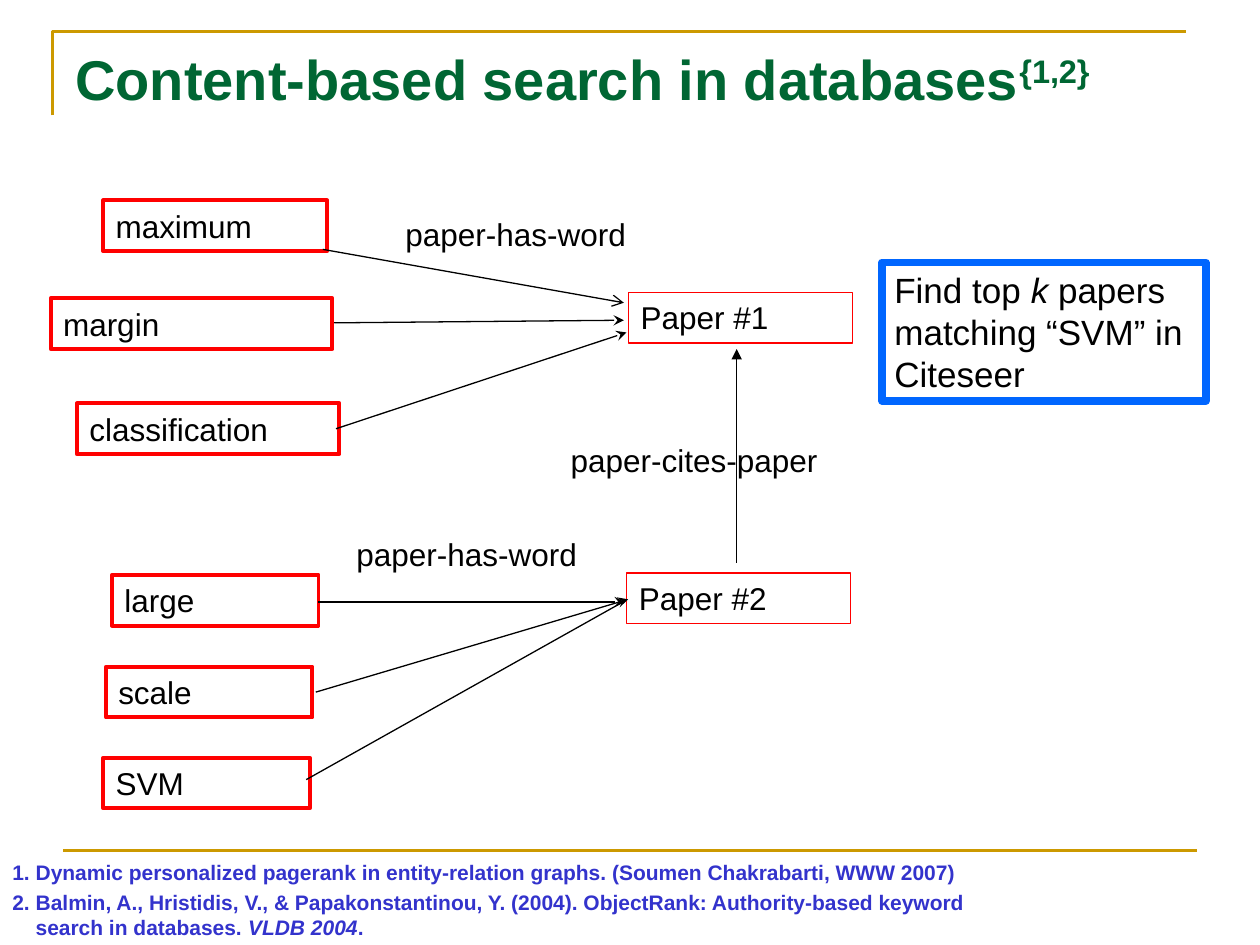
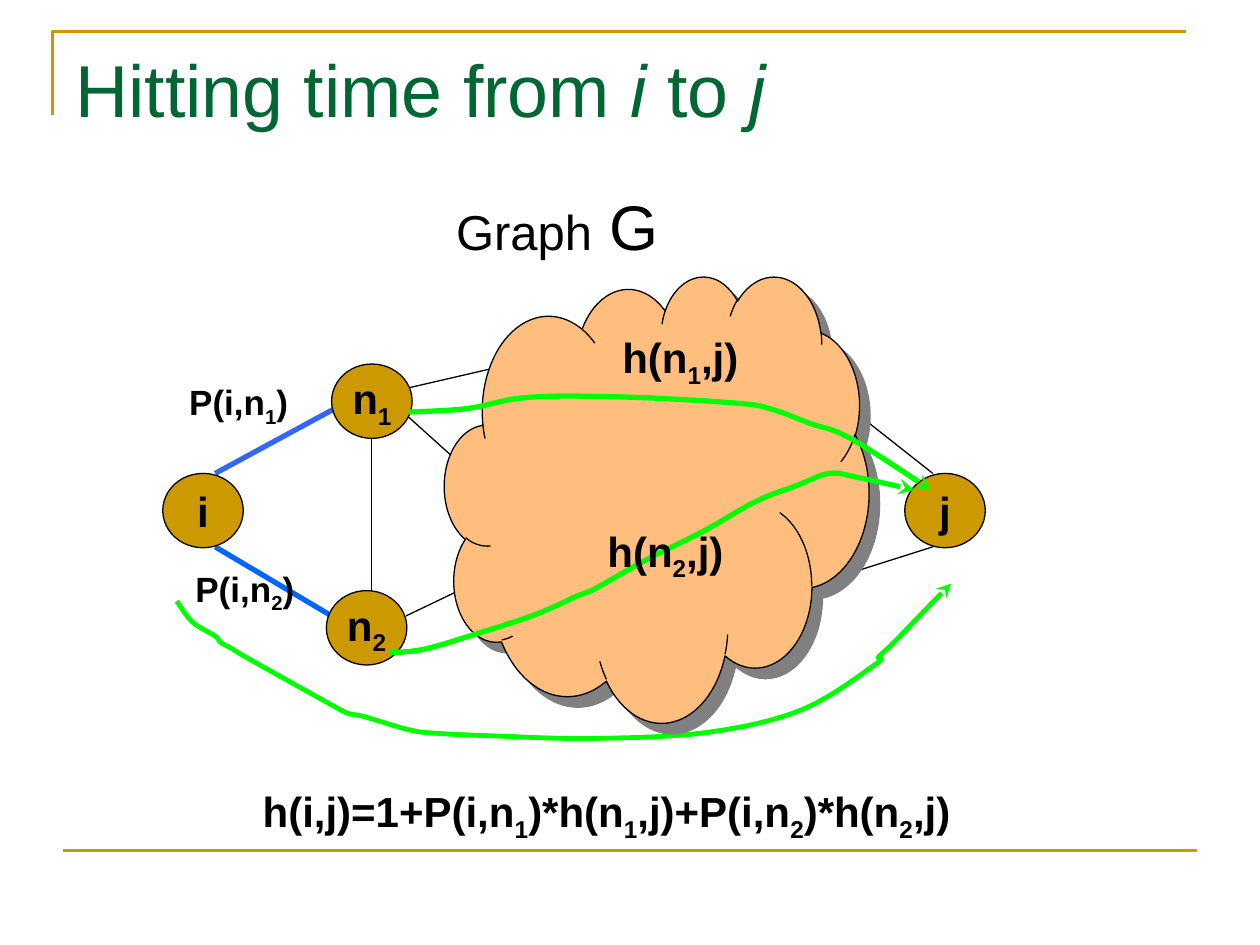
from lxml import etree
from pptx import Presentation
from pptx import util as u
from pptx.dml.color import RGBColor
from pptx.enum import shapes, text
from pptx.oxml import ns

Pt = u.Pt
FONT = "Arial"
BLACK = RGBColor(0x00, 0x00, 0x00)
GOLD = RGBColor(0xCC, 0x99, 0x00)
GREEN = RGBColor(0x00, 0x66, 0x33)
RED = RGBColor(0xFF, 0x00, 0x00)
INDIGO = RGBColor(0x33, 0x33, 0xCC)
BLUE = RGBColor(0x00, 0x66, 0xFF)
SOFT_BLUE = RGBColor(0x33, 0x66, 0xFF)
LIME = RGBColor(0x00, 0xFF, 0x00)
PEACH = RGBColor(0xFF, 0xBE, 0x7D)

TITLE_BOX = (36, 21.6, 648, 90)
ROW_HEIGHT = 29
PAPER_WIDTH = 128
RECT = shapes.MSO_SHAPE.RECTANGLE
OVAL = shapes.MSO_SHAPE.OVAL


# Shared helpers
def add_child(parent, tag, **attributes):
    child = etree.SubElement(parent, ns.qn(tag))
    for name, value in attributes.items():
        child.set(name, str(value))
    return child


def place(box, left, top, width, height):
    return box[0] + left, box[1] + top, width, height


def subscripted(formula):
    """Turn 'n_1' marks into subscript spans."""
    first, *rest = formula.split("_")
    spans = [(first, {})]
    for part in rest:
        spans += [(part[0], {"baseline": -25000}), (part[1:], {})]
    return [span for span in spans if span[0]]


def write(para, spans, **formats):
    """Fill a paragraph with (text, formats) spans over shared formats."""
    for words, own in spans:
        values = {"name": FONT, "color": BLACK, **formats, **own}
        span = para.add_run()
        span.text = words
        span.font.color.rgb = values.pop("color")
        baseline = values.pop("baseline", None)
        for name, value in values.items():
            setattr(span.font, name, value)
        if baseline:
            span._r.get_or_add_rPr().set("baseline", str(baseline))


def set_frame(frame, **settings):
    margins = {"margin_left": Pt(7.2), "margin_right": Pt(7.2),
               "margin_top": Pt(3.6), "margin_bottom": Pt(3.6)}
    defaults = {"word_wrap": True, "vertical_anchor": text.MSO_ANCHOR.TOP}
    for name, value in {**margins, **defaults, **settings}.items():
        setattr(frame, name, value)


def add_text(page, box, spans, **formats):
    frame = page.shapes.add_textbox(*map(Pt, box)).text_frame
    set_frame(frame)
    write(frame.paragraphs[0], spans, **formats)
    return frame


def style_line(part, color, width, head=None):
    part.line.color.rgb = color
    part.line.width = Pt(width)
    if head:
        outline = part._element.spPr.find(ns.qn("a:ln"))
        add_child(outline, "a:tailEnd", type=head)


def add_shape(page, kind, box, color, width, fill=None):
    part = page.shapes.add_shape(kind, *map(Pt, box))
    part.shadow.inherit = False
    if fill is None:
        part.fill.background()
    else:
        part.fill.solid()
        part.fill.fore_color.rgb = fill
    style_line(part, color, width)
    return part


def add_framed_text(page, box, spans, color, width, **formats):
    frame = add_shape(page, RECT, box, color, width).text_frame
    set_frame(frame)
    frame.paragraphs[0].alignment = text.PP_ALIGN.LEFT
    write(frame.paragraphs[0], spans, **formats)


def add_line(page, box, ends, color=BLACK, width=0.75, head=None):
    x1, y1, x2, y2 = ends
    left, top = box[:2]
    line = page.shapes.add_connector(
        shapes.MSO_CONNECTOR.STRAIGHT, Pt(left + x1), Pt(top + y1),
        Pt(left + x2), Pt(top + y2))
    style_line(line, color, width, head)
    add_child(line._element.spPr, "a:effectLst")


def add_path(page, points, color, width, head=None):
    start, *rest = [(Pt(x), Pt(y)) for x, y in points]
    builder = page.shapes.build_freeform(*start)
    builder.add_line_segments(rest, close=False)
    path = builder.convert_to_shape()
    path.shadow.inherit = False
    path.fill.background()
    style_line(path, color, width, head)


def smooth(knots, steps=6):
    """Points on a Catmull-Rom curve through the knots."""
    padded = [knots[0], *knots, knots[-1]]
    points = [knots[0]]
    for a, b, c, d in zip(padded, padded[1:], padded[2:], padded[3:]):
        for step in range(1, steps + 1):
            t = step / steps
            points.append(tuple(
                (2 * q + (r - p) * t + (2 * p - 5 * q + 4 * r - s) * t ** 2
                 + (3 * q - p - 3 * r + s) * t ** 3) / 2
                for p, q, r, s in zip(a, b, c, d)))
    return points


def start_page(deck, title, size):
    """Blank page with the corner rule, the foot rule and the title."""
    page = deck.slides.add_slide(deck.slide_layouts[6])
    add_path(page, [(30, 66), (30, 18), (678, 18)], GOLD, 1.5)
    add_line(page, (36, 486), (0, 0, 648, 0), GOLD, 1.5)
    add_text(page, TITLE_BOX, title, color=GREEN, **size)
    return page


# Slide 1 regions
def add_word_links(page, box, words, paper, label, arrows):
    """Word boxes, each linked to one paper box."""
    for word, left, top, width in words:
        add_framed_text(page, place(box, left, top, width, ROW_HEIGHT),
                        [(word, {})], RED, 2.25, size=Pt(18))
    name, left, top = paper
    add_framed_text(page, place(box, left, top, PAPER_WIDTH, ROW_HEIGHT),
                    [(name, {})], RED, 0.75, size=Pt(18))
    add_text(page, place(box, *label, 153.5, ROW_HEIGHT),
             [("paper-has-word", {})], size=Pt(18))
    for ends, head in arrows:
        add_line(page, box, ends, head=head)


def add_citation_link(page, box):
    add_line(page, box, (102, 122, 102, 0), head="triangle")
    add_text(page, place(box, 0, 49, box[2], ROW_HEIGHT),
             [("paper-cites-paper", {})], size=Pt(18))


def add_references(page, box):
    formats = {"size": Pt(12), "bold": True, "color": INDIGO}
    frame = add_text(page, box, [(
        "1. Dynamic personalized pagerank in entity-relation graphs. "
        "(Soumen Chakrabarti, WWW 2007)", {})], **formats)
    para = frame.add_paragraph()
    para.space_before = Pt(3)
    for name, value in {"marL": Pt(13.3), "indent": -Pt(13.3)}.items():
        para._p.get_or_add_pPr().set(name, str(value))
    write(para, [("2. Balmin, A., Hristidis, V., & Papakonstantinou, Y. (2004). "
                  "ObjectRank: Authority-based keyword", {})], **formats)
    para.add_line_break()
    write(para, [("search in databases. ", {}), ("VLDB 2004", {"italic": True}),
                 (".", {})], **formats)


def build_search_slide(deck):
    page = start_page(deck, [("Content-based search in databases", {}),
                             ("{1,2}", {"baseline": 30000})],
                      {"size": Pt(32), "bold": True})
    add_references(page, (0, 487.5, 695.5, 53))
    add_word_links(
        page, (29, 114.5, 458, 145),
        words=[("maximum", 30, 0, 128), ("margin", 0, 56, 161),
               ("classification", 15, 116, 150)],
        paper=("Paper #1", 330, 52.5), label=(195.5, 5),
        arrows=[((155.5, 28, 327.5, 58.5), "arrow"),
                ((162, 70, 327.5, 68.5), "stealth"),
                ((163, 130.5, 329, 75.5), "stealth")])
    add_word_links(
        page, (59, 302, 427, 160),
        words=[("large", 5, 26.5, 118), ("scale", 1.5, 79, 118),
               ("SVM", 0, 131, 118)],
        paper=("Paper #2", 299, 25.5), label=(137.5, 0),
        arrows=[((123, 42, 298, 42), "stealth"),
                ((121.5, 93.5, 300, 40.5), "stealth"),
                ((116, 143.5, 297, 42), None)])
    add_citation_link(page, (319, 199.5, 181.5, 122))
    add_framed_text(page, (504, 150, 185, 79),
                    [("Find top ", {}), ("k", {"italic": True}),
                     (" papers matching “SVM” in Citeseer", {})],
                    BLUE, 4.5, size=Pt(20))


# Slide 2 regions
def add_edges(page, box):
    for ends in [(122.5, 252, 122.5, 137), (381.5, 232, 443, 212.5),
                 (381.5, 122, 443, 170.5), (142, 122, 202.5, 108),
                 (142, 137, 202.5, 191.5), (142, 252, 180.5, 233.5)]:
        add_line(page, box, ends)
    add_line(page, box, (33, 170.5, 122.5, 122), SOFT_BLUE, 3)
    add_line(page, box, (33, 212.5, 99.5, 252), BLUE, 3)


def add_nodes(page, box):
    for name, left, top in [("i", 3, 170.5), ("j", 427, 170.5),
                            ("n_1", 99.5, 108), ("n_2", 96.5, 237.5)]:
        node = add_shape(page, OVAL, place(box, left, top, 46, 42.5),
                         BLACK, 0.75, GOLD)
        set_frame(node.text_frame, word_wrap=False,
                  vertical_anchor=text.MSO_ANCHOR.MIDDLE)
        para = node.text_frame.paragraphs[0]
        para.alignment = text.PP_ALIGN.CENTER
        write(para, subscripted(name), size=Pt(24), bold=True)


def add_cloud(page, box):
    cloud = add_shape(page, shapes.MSO_SHAPE.CLOUD,
                      place(box, 164, 57.5, 242.5, 255), BLACK, 0.75, PEACH)
    effects = cloud._element.spPr.find(ns.qn("a:effectLst"))
    shadow = add_child(effects, "a:outerShdw", dist=Pt(8.5), dir=45 * 60000,
                       algn="ctr", rotWithShape=0)
    add_child(shadow, "a:srgbClr", val="808080")


def add_walk(page, box, knots, width):
    moved = [(box[0] + x, box[1] + y) for x, y in knots]
    add_path(page, smooth(moved), LIME, width, "stealth")


def add_labels(page, box):
    for formula, size, *spot in [
            ("P(i,n_1)", 20, 11, 114, 82, 34.5),
            ("P(i,n_2)", 20, 14.5, 220.5, 82, 34.5),
            ("h(n_1,j)", 24, 258.5, 86, 104.5, 40),
            ("h(n_2,j)", 24, 250, 196.5, 104.5, 40),
            ("h(i,j)=1+P(i,n_1)*h(n_1,j)+P(i,n_2)*h(n_2,j)", 24,
             53, 345.5, 434, 40)]:
        add_text(page, place(box, *spot), subscripted(formula),
                 size=Pt(size), bold=True)
    add_text(page, place(box, 163.5, 3.5, 175.5, 50),
             [("Graph", {"size": Pt(28)}), (" G", {"size": Pt(36)})])


def build_hitting_time_slide(deck):
    italic = {"italic": True}
    page = start_page(deck, [("Hitting time from ", {}), ("i ", italic),
                             ("to ", {}), ("j", italic)], {"size": Pt(42)})
    graph = (90, 100, 480, 390)
    add_edges(page, graph)
    add_nodes(page, graph)
    # Walk from i to j below the graph
    add_walk(page, graph, [
        (11, 243.5), (20, 255.5), (33, 263.5), (36, 267), (43, 271),
        (54, 277.5), (98, 302), (108.5, 307.5), (118, 309.5), (143.5, 317),
        (158.5, 319), (191, 320.5), (249, 322), (314.5, 318.5),
        (368.5, 305.5), (410.5, 279.5), (412, 275.5), (420, 268),
        (433.5, 254), (453.5, 233.5)], 2.75)
    add_cloud(page, graph)
    # Walks from n2 and n1 through the cloud
    add_walk(page, graph, [
        (133, 273), (152.5, 271), (183, 262), (211, 253), (226, 247),
        (240, 240.5), (249, 237), (264, 228.5), (283, 218), (313, 203),
        (342, 186.5), (366.5, 177), (384, 170.5), (401, 173),
        (432.5, 180)], 3)
    add_walk(page, graph, [
        (143.5, 135.5), (177, 133.5), (212.5, 127), (270, 127),
        (332, 130.5), (351.5, 134), (373, 142), (396, 150.5),
        (442, 180)], 3)
    add_labels(page, graph)


def main():
    deck = Presentation()
    deck.slide_width, deck.slide_height = Pt(720), Pt(540)
    build_search_slide(deck)
    build_hitting_time_slide(deck)
    deck.save("out.pptx")


if __name__ == "__main__":
    main()
